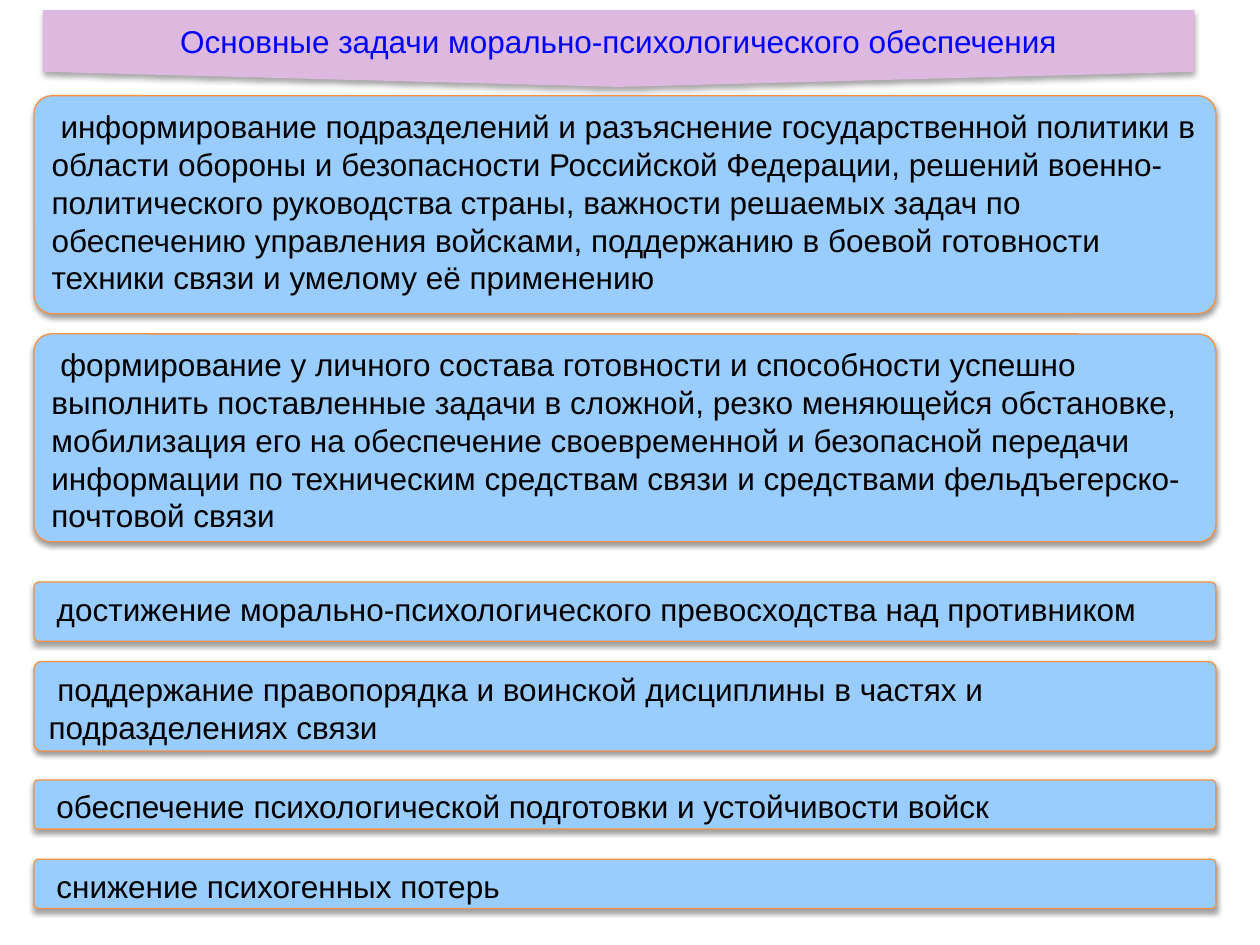
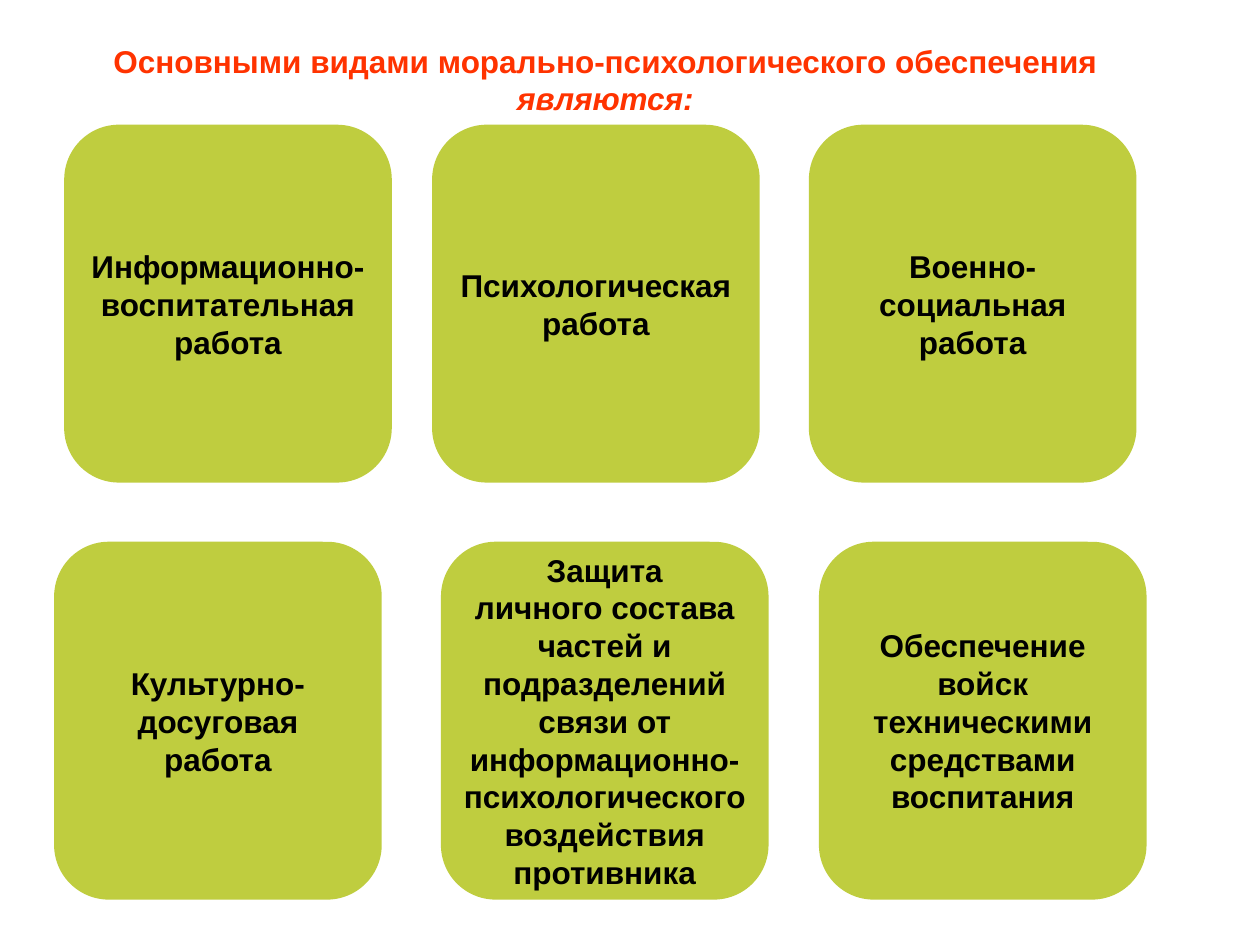
import pptx
import pptx.dml.color
import pptx.enum.shapes
import pptx.enum.text
import pptx.oxml
import pptx.oxml.ns
import pptx.util

Inches, Pt = pptx.util.Inches, pptx.util.Pt
SHAPE = pptx.enum.shapes.MSO_SHAPE
ALIGN = pptx.enum.text.PP_ALIGN
ANCHOR = pptx.enum.text.MSO_ANCHOR

FONT, SIZE = "Arial", 18
BLACK = "000000"
LILAC, BLUE_TEXT = "DEB9DF", "0000FF"
SKY, ORANGE = "99CCFF", "F69240"
LIME, RED_TEXT = "BFCD3F", "FF3300"

BANNER = (0.34, 0.08, 9.14, 0.61)
BANNER_POINT = 0.12
TASK_LEFT, TASK_WIDTH = 0.27, 9.38
CARD_WIDTH, CARD_HEIGHT = 2.6, 2.84

# top, height, text
TASKS = [
    (0.76, 1.73, "информирование подразделений и разъяснение государственной политики в "
     "области обороны и безопасности Российской Федерации, решений "
     "военно-политического руководства страны, важности решаемых задач по "
     "обеспечению управления войсками, поддержанию в боевой готовности "
     "техники связи и умелому её применению"),
    (2.65, 1.65, "формирование у личного состава готовности и способности успешно "
     "выполнить поставленные задачи в сложной, резко меняющейся обстановке, "
     "мобилизация его на обеспечение своевременной и безопасной передачи "
     "информации по техническим средствам связи и средствами "
     "фельдъегерско-почтовой связи"),
    (4.62, 0.47, "достижение морально-психологического превосходства над противником"),
    (5.25, 0.71, "поддержание правопорядка и воинской дисциплины в частях и "
     "подразделениях связи"),
    (6.19, 0.39, "обеспечение психологической подготовки и устойчивости войск"),
    (6.82, 0.39, "снижение психогенных потерь"),
]

# row top, then (left, lines) for each card
CARD_ROWS = [
    (0.99, [
        (0.51, ["Информационно-", "воспитательная", "работа"]),
        (3.43, ["Психологическая", "работа"]),
        (6.42, ["Военно-", "социальная", "работа"]),
    ]),
    (4.3, [
        (0.43, ["Культурно-", "досуговая", "работа"]),
        (3.5, ["Защита", "личного состава", "частей и", "подразделений", "связи от",
               "информационно-", "психологического", "воздействия", "противника"]),
        (6.5, ["Обеспечение", "войск", "техническими", "средствами", "воспитания"]),
    ]),
]


def rgb(value):
    return pptx.dml.color.RGBColor.from_string(value)


def style_paragraph(p, color, align, bold=False):
    p.alignment = align
    p.font.name, p.font.size, p.font.bold = FONT, Pt(SIZE), bold
    p.font.color.rgb = rgb(color)


def add_box(slide, kind, at, fill, adjustments, line=None):
    sp = slide.shapes.add_shape(kind, *map(Inches, at))
    sp.shadow.inherit = False
    for i, value in enumerate(adjustments):
        sp.adjustments[i] = value
    sp.fill.solid()
    sp.fill.fore_color.rgb = rgb(fill)
    if line:
        sp.line.color.rgb = rgb(line)
        sp.line.width = Pt(0.75)
    else:
        sp.line.fill.background()
    return sp


def add_shadow(sp, opacity, distance):
    """Cast a soft black shadow straight down; opacity in percent, distance in points."""
    effects = sp._element.spPr.find(pptx.oxml.ns.qn("a:effectLst"))
    effects.append(pptx.oxml.parse_xml(
        f'<a:outerShdw {pptx.oxml.ns.nsdecls("a")} blurRad="{Pt(3.1)}" '
        f'dist="{Pt(distance)}" dir="5400000" rotWithShape="0">'
        f'<a:srgbClr val="{BLACK}"><a:alpha val="{opacity * 1000}"/></a:srgbClr>'
        '</a:outerShdw>'))


def set_title(slide, at, runs, color, anchor, bold=False):
    """Place the title; runs are (text, italic) pairs."""
    title = slide.shapes.title
    title.left, title.top, title.width, title.height = map(Inches, at)
    tf = title.text_frame
    tf.auto_size = pptx.enum.text.MSO_AUTO_SIZE.NONE
    tf.word_wrap = True
    tf.vertical_anchor = anchor
    p = tf.paragraphs[0]
    for text, italic in runs:
        r = p.add_run()
        r.text = text
        if italic:
            r.font.italic = True
    style_paragraph(p, color, ALIGN.CENTER, bold)
    return title


def add_task(slide, top, height, text):
    sp = add_box(slide, SHAPE.ROUNDED_RECTANGLE, (TASK_LEFT, top, TASK_WIDTH, height),
                 SKY, [0.083], ORANGE)
    add_shadow(sp, 38, 1.6)
    tf = sp.text_frame
    tf.word_wrap = True
    tf.vertical_anchor = ANCHOR.TOP
    p = tf.paragraphs[0]
    p.text = text
    p._p.get_or_add_pPr().set("indent", str(Inches(0.07)))
    style_paragraph(p, BLACK, ALIGN.LEFT)


def add_card(slide, left, top, lines):
    sp = add_box(slide, SHAPE.ROUNDED_RECTANGLE, (left, top, CARD_WIDTH, CARD_HEIGHT),
                 LIME, [0.167])
    tf = sp.text_frame
    tf.word_wrap = False
    tf.vertical_anchor = ANCHOR.MIDDLE
    tf.text = "\n".join(lines)
    for p in tf.paragraphs:
        style_paragraph(p, BLACK, ALIGN.CENTER, bold=True)


def build_tasks_slide(slide):
    left, top, width, height = BANNER
    title = set_title(slide, (left, top, width, height - BANNER_POINT),
                      [("Основные задачи морально-психологического обеспечения", False)],
                      BLUE_TEXT, ANCHOR.MIDDLE)
    banner = add_box(slide, SHAPE.DOWN_ARROW, BANNER, LILAC, [1, BANNER_POINT / height])
    add_shadow(banner, 35, 1.8)
    title._element.addprevious(banner._element)
    for top, height, text in TASKS:
        add_task(slide, top, height, text)


def build_kinds_slide(slide):
    set_title(slide, (0.75, 0.28, 8.11, 0.7),
              [("Основными видами морально-психологического обеспечения", False),
               (" являются:", True)],
              RED_TEXT, ANCHOR.TOP, bold=True)
    for top, cards in CARD_ROWS:
        for left, lines in cards:
            add_card(slide, left, top, lines)


def main():
    prs = pptx.Presentation()
    prs.slide_width, prs.slide_height = Inches(10), Inches(7.5)
    title_only = prs.slide_layouts[5]
    for build in (build_tasks_slide, build_kinds_slide):
        build(prs.slides.add_slide(title_only))
    prs.save("out.pptx")


if __name__ == "__main__":
    main()
